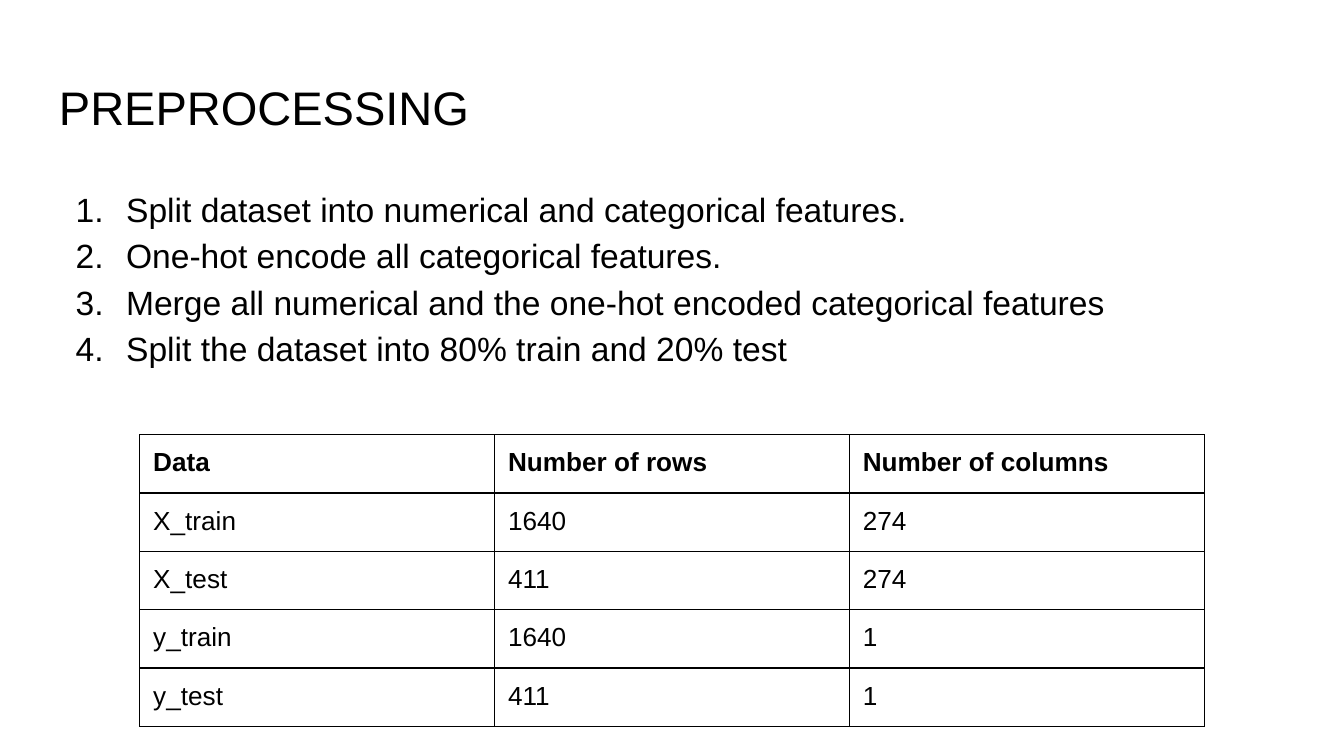
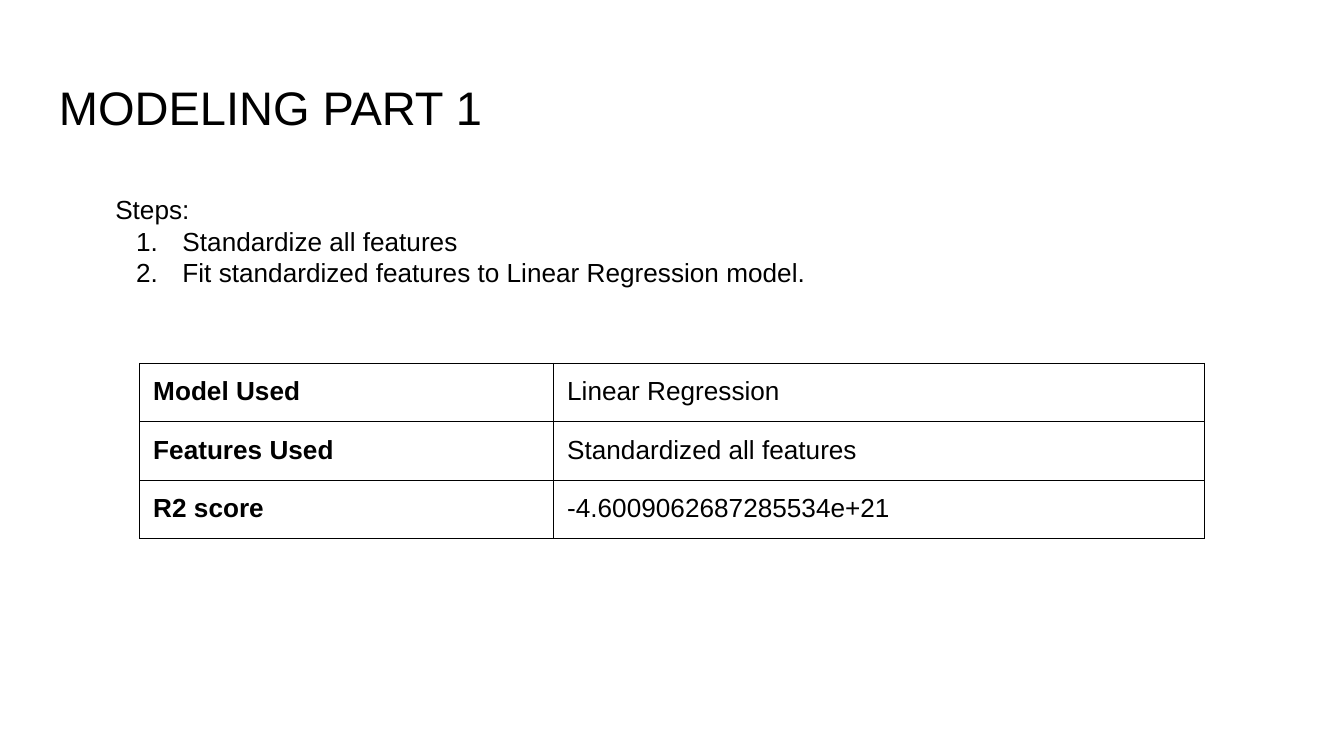
from lxml import etree
from pptx import Presentation
from pptx import util as u
from pptx.dml.color import RGBColor
from pptx.enum import text
from pptx.oxml.ns import qn

PX = 4572  # EMU per px, 200 px to the inch
FONT = "Arial"
COLORS = {"ink": "000000", "paper": "FFFFFF"}
SLIDE_SIZE = (2000, 1125)
TITLE_BOX = (68, 97, 1864, 126)
TITLE_SIZE = 25.2
TABLE_LEFT, TABLE_SIDE, ROW_HEIGHT, TABLE_SIZE = 208, 656, 84, 14
INSET, NUMBER_INDENT = 20, 100

SLIDES = [
    {
        "title": "PREPROCESSING",
        "steps": {
            "box": (68, 252, 1864, 748), "size": 18, "hanging": 75, "spacing": 1.15,
            "items": [
                "Split dataset into numerical and categorical features.",
                "One-hot encode all categorical features.",
                "Merge all numerical and the one-hot encoded categorical features",
                "Split the dataset into 80% train and 20% test",
            ],
        },
        "table": {
            "top": 647, "columns": (528, 528, 528), "header": "row",
            "rows": [
                ("Data", "Number of rows", "Number of columns"),
                ("X_train", "1640", "274"),
                ("X_test", "411", "274"),
                ("y_train", "1640", "1"),
                ("y_test", "411", "1"),
            ],
        },
    },
    {
        "title": "MODELING PART 1",
        "steps": {
            "box": (152, 268, 1640, 182), "size": 14, "hanging": 69, "spacing": 1.0,
            "lead": "Steps:",
            "items": [
                "Standardize all features",
                "Fit standardized features to Linear Regression model.",
            ],
        },
        "table": {
            "top": 541, "columns": (616, 968), "header": "column",
            "rows": [
                ("Model Used", "Linear Regression"),
                ("Features Used", "Standardized all features"),
                ("R2 score", "-4.6009062687285534e+21"),
            ],
        },
    },
]


def px(*lengths):
    return [u.Emu(length * PX) for length in lengths]


def set_margins(holder):
    """Give a text frame or a table cell the shared inset."""
    for side in ("left", "top", "right", "bottom"):
        setattr(holder, f"margin_{side}", u.Emu(INSET * PX))


def style(paragraph, size, bold=False):
    font = paragraph.font
    font.name, font.size, font.bold = FONT, u.Pt(size), bold
    font.color.rgb = RGBColor.from_string(COLORS["ink"])


def add_ink(parent):
    etree.SubElement(parent, qn("a:srgbClr"), val=COLORS["ink"])


def number(paragraph, hanging):
    props = paragraph._p.get_or_add_pPr()
    props.set("marL", str(NUMBER_INDENT * PX))
    props.set("indent", str(-hanging * PX))
    add_ink(etree.SubElement(props, qn("a:buClr")))
    etree.SubElement(props, qn("a:buFont"), typeface=FONT)
    etree.SubElement(props, qn("a:buAutoNum"), type="arabicPeriod")


def add_text(slide, box, lines, size, hanging=0, spacing=1.0, numbered_from=0):
    frame = slide.shapes.add_textbox(*px(*box)).text_frame
    frame.word_wrap = True
    frame.vertical_anchor = text.MSO_ANCHOR.TOP
    set_margins(frame)
    for i, line in enumerate(lines):
        paragraph = frame.paragraphs[0] if i == 0 else frame.add_paragraph()
        paragraph.text = line
        if hanging and i >= numbered_from:
            number(paragraph, hanging)
        paragraph.line_spacing = spacing
        style(paragraph, size)


def add_steps(slide, box, size, hanging, spacing, items, lead=None):
    lines = ([lead] if lead else []) + items
    add_text(slide, box, lines, size, hanging, spacing, len(lines) - len(items))


def add_borders(cell):
    props = cell._tc.get_or_add_tcPr()
    for edge in "LRTB":
        line = etree.SubElement(props, qn(f"a:ln{edge}"), w=str(u.Pt(0.75)))
        add_ink(etree.SubElement(line, qn("a:solidFill")))


def add_table(slide, top, columns, header, rows):
    box = px(TABLE_LEFT, top, TABLE_SIDE, TABLE_SIDE)
    grid = slide.shapes.add_table(len(rows), len(columns), *box).table
    grid.first_row = grid.horz_banding = False
    for column, width in zip(grid.columns, px(*columns)):
        column.width = width
    for r, row in enumerate(rows):
        grid.rows[r].height = u.Emu(ROW_HEIGHT * PX)
        for c, value in enumerate(row):
            cell = grid.cell(r, c)
            cell.text = value
            set_margins(cell)
            add_borders(cell)
            cell.fill.background()
            is_header = (r if header == "row" else c) == 0
            style(cell.text_frame.paragraphs[0], TABLE_SIZE, is_header)
    # Resizing rows and columns must leave the frame at its own size.
    frame = grid._graphic_frame
    frame.width, frame.height = px(TABLE_SIDE, TABLE_SIDE)


def main():
    deck = Presentation()
    deck.slide_width, deck.slide_height = px(*SLIDE_SIZE)
    for content in SLIDES:
        slide = deck.slides.add_slide(deck.slide_layouts[6])
        background = slide.background.fill
        background.solid()
        background.fore_color.rgb = RGBColor.from_string(COLORS["paper"])
        add_text(slide, TITLE_BOX, [content["title"]], TITLE_SIZE)
        add_steps(slide, **content["steps"])
        add_table(slide, **content["table"])
    deck.save("out.pptx")


if __name__ == "__main__":
    main()
